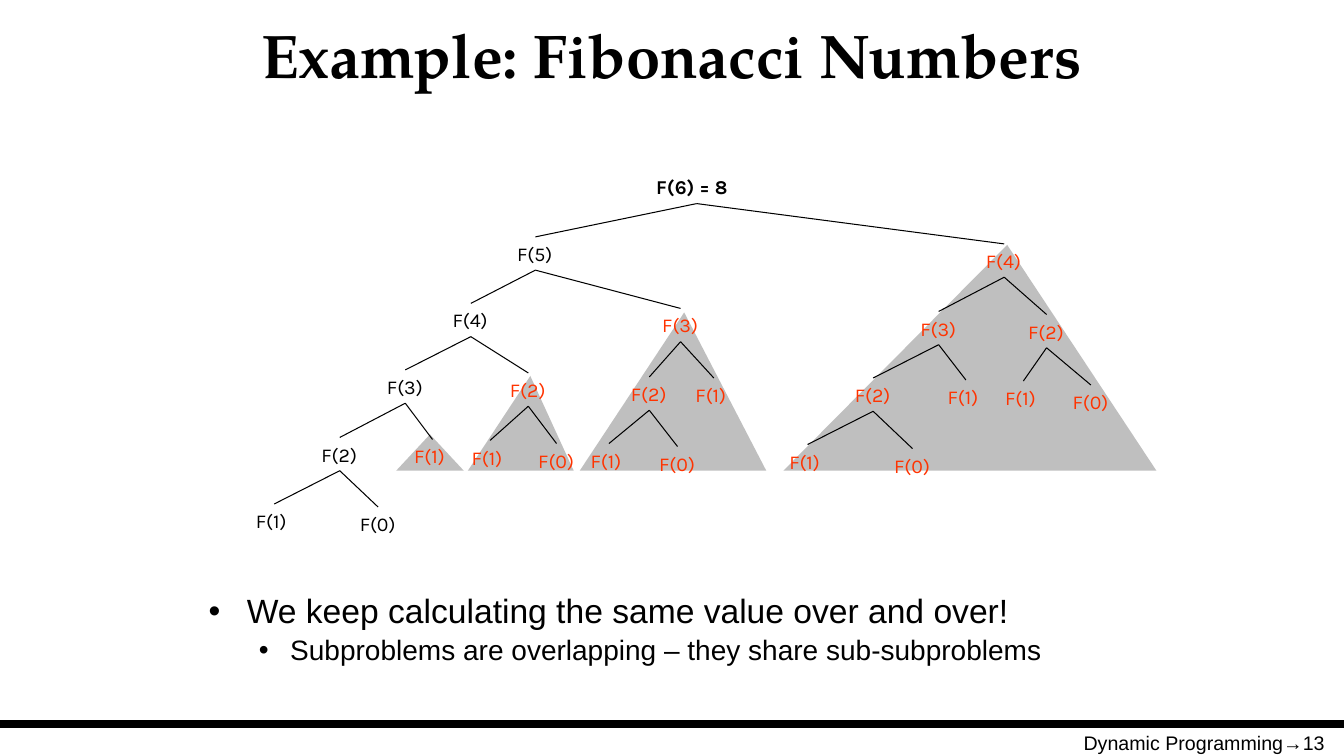
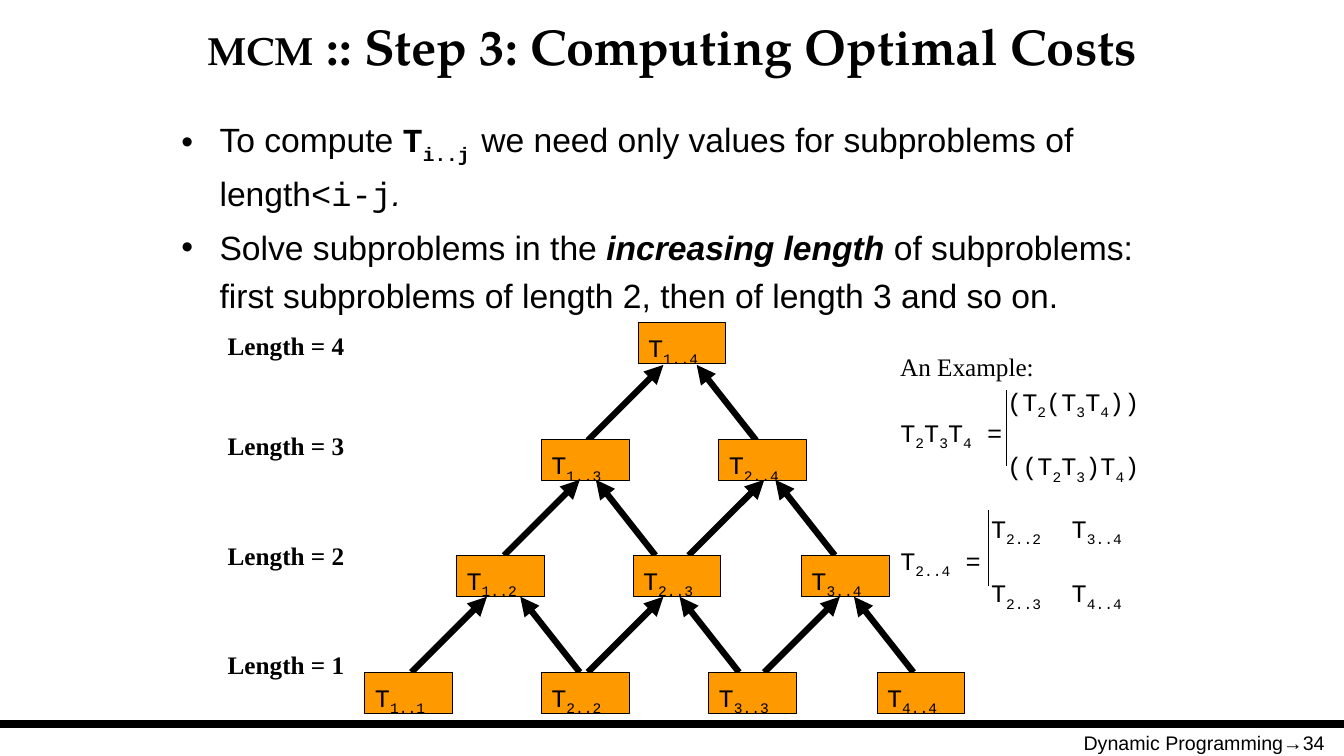
from lxml.etree import SubElement
from pptx import Presentation
from pptx.dml.color import RGBColor
from pptx.enum.shapes import MSO_CONNECTOR, MSO_SHAPE
from pptx.enum.text import MSO_ANCHOR, MSO_AUTO_SIZE, PP_ALIGN
from pptx.oxml.ns import qn
from pptx.util import Pt

PX = 9144  # EMU per px, 100 px to the inch
COLORS = {"ink": "000000", "paper": "FFFFFF", "repeat": "FF3300",
          "shade": "808080", "cell": "FF9900"}
TITLE_FONT, BODY_FONT, TREE_FONT = "TeX Gyre Pagella", "Arial", "Karla"
CODE_FONT, LABEL_FONT = "Courier New", "Times New Roman"
WIDTH, HEIGHT = 1333, 750
BAND_Y = 718

# Call tree: (n, centre x, top, children)
NODE_WIDTH, NODE_HEIGHT = 56, 33
FIRST_CALLS = (6, 691, 169, [
    (5, 531, 235, [
        (4, 467, 301, [
            (3, 402, 367, [
                (2, 337, 434, [(1, 272, 500, []), (0, 375, 503, [])]),
                (1, 429, 436, [])]),
            (2, 524, 370, [(1, 486, 437, []), (0, 552, 440, [])])]),
        (3, 675, 306, [
            (2, 644, 374, [(1, 604, 440, []), (0, 672, 443, [])]),
            (1, 708, 375, [])])]),
    (4, 996, 242, [
        (3, 931, 309, [
            (2, 866, 375, [(1, 801, 441, []), (0, 905, 445, [])]),
            (1, 958, 377, [])]),
        (2, 1038, 312, [(1, 1015, 378, []), (0, 1082, 382, [])])])])

# Shaded repeated calls: (left, top, width, apex position)
SHADE_BASE = 467
SHADES = [(777, 243, 370, 0.6), (575, 310, 185, 0.56),
          (464, 373, 105, 0.59), (393, 431, 67, 0.5)]

# Cost table: (length, label top, cell top, cell lefts)
CELL_ROWS = [(4, 323, 320, [633]), (3, 422, 436, [537, 713]),
             (2, 531, 551, [453, 628, 795]), (1, 639, 667, [362, 537, 703, 870])]
# Arrows: (start y, starts going right, starts going left)
ARROW_ROWS = [(437, [583], [750]), (551, [500, 683], [650, 828]),
              (667, [408, 583, 758], [575, 733, 906])]
ARROW_RISE, ARROW_RIGHT, ARROW_LEFT = 75, 75, -59

# Formulas: every second part between bars is a subscript
FORMULAS = [(999, 383, "(T|2|(T|3|T|4|))"), (893, 414, "T|2|T|3|T|4| ="),
            (999, 447, "((T|2|T|3|)T|4|)"),
            (983, 509, "T|2..2"), (1063, 509, "T|3..4"),
            (893, 541, "T|2..4| ="),
            (983, 573, "T|2..3"), (1063, 573, "T|4..4")]


def color(name):
    return RGBColor.from_string(COLORS[name])


def set_font(font, name=None, size=None, ink=None, bold=None, italic=None, sub=False):
    if name:
        font.name = name
    if size:
        font.size = Pt(size)
    if ink:
        font.color.rgb = color(ink)
    if bold is not None:
        font.bold = bold
    if italic is not None:
        font.italic = italic
    if sub:
        font._element.set("baseline", "-25000")


def fill_para(para, spans, name, size, ink="ink", bold=None):
    """Set the paragraph font, then add spans: (text, font changes)."""
    set_font(para.font, name, size, ink, bold)
    for text, changes in spans:
        span = para.add_run()
        span.text = text
        set_font(span.font, **changes)


def add_box(page, left, top, width, height, inset=True):
    box = page.shapes.add_textbox(left * PX, top * PX, width * PX, height * PX)
    frame = box.text_frame
    frame.word_wrap = True
    if not inset:
        frame.margin_left = frame.margin_right = 0
        frame.margin_top = frame.margin_bottom = 0
    return frame


def add_label(page, place, text, name, size, align=PP_ALIGN.LEFT, **style):
    frame = add_box(page, *place)
    para = frame.paragraphs[0]
    para.alignment = align
    fill_para(para, [(text, {})], name, size, **style)
    return frame


def formula_spans(formula):
    return [(text, {"sub": index % 2 == 1})
            for index, text in enumerate(formula.split("|"))]


def add_line(page, start, end, weight=0.75, arrow=False):
    ends = [value * PX for value in (*start, *end)]
    line = page.shapes.add_connector(MSO_CONNECTOR.STRAIGHT, *ends)
    line.line.color.rgb = color("ink")
    line.line.width = Pt(weight)
    if arrow:
        SubElement(line.line._get_or_add_ln(), qn("a:tailEnd"), type="triangle")
    SubElement(line._element.spPr, qn("a:effectLst"))


def add_shape(page, kind, left, top, width, height, fill):
    shape = page.shapes.add_shape(kind, left * PX, top * PX, width * PX, height * PX)
    shape.shadow.inherit = False
    shape.fill.solid()
    shape.fill.fore_color.rgb = color(fill)
    return shape


def add_page(deck, number, title_spans, title_size, title_height):
    """Blank page with the shared title, band and footer."""
    page = deck.slides.add_slide(deck.slide_layouts[6])
    page.background.fill.solid()
    page.background.fill.fore_color.rgb = color("paper")
    add_line(page, (0, BAND_Y), (WIDTH, BAND_Y), weight=6)
    add_label(page, (958, 720, 366, 30), f"Dynamic Programming→{number}",
              BODY_FONT, 14, PP_ALIGN.RIGHT)
    frame = add_box(page, 7, 7, 1319, title_height)
    frame.vertical_anchor = MSO_ANCHOR.MIDDLE
    para = frame.paragraphs[0]
    para.alignment = PP_ALIGN.CENTER
    fill_para(para, title_spans, TITLE_FONT, title_size, bold=True)
    return page


def add_bullets(page, place, items, spacing):
    """Items are (level, margin, hang, size, spans)."""
    frame = add_box(page, *place)
    for index, (level, margin, hang, size, spans) in enumerate(items):
        para = frame.add_paragraph() if index else frame.paragraphs[0]
        para.level = level
        para.line_spacing = spacing
        if index:
            para.space_before = Pt(size // 5)
        properties = para._p.get_or_add_pPr()
        properties.set("marL", str(margin * PX))
        properties.set("indent", str(-hang * PX))
        SubElement(properties, qn("a:buFont"), typeface=BODY_FONT)
        SubElement(properties, qn("a:buChar"), char="•")
        fill_para(para, spans, BODY_FONT, size)


def add_shade(page, left, top, width, apex):
    triangle = add_shape(page, MSO_SHAPE.ISOSCELES_TRIANGLE,
                         left, top, width, SHADE_BASE - top, "shade")
    triangle.adjustments[0] = apex
    triangle.line.fill.background()
    for value in triangle._element.spPr.iter(qn("a:srgbClr")):
        SubElement(value, qn("a:alpha"), val="50000")


def add_calls(page, call, seen, repeated=False):
    """Draw a call and its children; calls already seen turn red."""
    number, center, top, children = call
    repeated = repeated or number in seen
    if not repeated:
        seen.add(number)
    is_root = number == 6
    width = 101 if is_root else NODE_WIDTH
    frame = add_label(page, (center - width // 2, top, width, NODE_HEIGHT),
                      "F(6) = 8" if is_root else f"F({number})", TREE_FONT, 14,
                      ink="repeat" if repeated else "ink", bold=is_root)
    frame.word_wrap = False
    frame.auto_size = MSO_AUTO_SIZE.SHAPE_TO_FIT_TEXT
    for child in children:
        add_line(page, (center, top + NODE_HEIGHT), child[1:3])
        add_calls(page, child, seen, repeated)


def add_cell(page, left, top, indices):
    cell = add_shape(page, MSO_SHAPE.RECTANGLE, left, top, 87, 41, "cell")
    cell.line.color.rgb = color("ink")
    cell.line.width = Pt(0.75)
    frame = cell.text_frame
    frame.vertical_anchor = MSO_ANCHOR.TOP
    frame.margin_top, frame.margin_bottom = 10 * PX, 0
    para = frame.paragraphs[0]
    para.alignment = PP_ALIGN.LEFT
    fill_para(para, formula_spans(f"T|{indices}"), CODE_FONT, 18)


def build_fibonacci(deck):
    page = add_page(deck, 13, [("Example: Fibonacci Numbers", {})], 44, 92)
    for shade in SHADES:
        add_shade(page, *shade)
    add_calls(page, FIRST_CALLS, set())
    add_bullets(page, (197, 585, 963, 108), [
        (0, 38, 38, 24, [("We keep calculating the same value over and over!", {})]),
        (1, 81, 31, 20, [("Subproblems are overlapping – they share sub-subproblems", {})]),
    ], 0.9)


def build_costs(deck):
    page = add_page(deck, 34, [("MCM", {"size": 28}),
                               (" :: Step 3: Computing Optimal Costs", {})], 36, 77)
    add_bullets(page, (170, 104, 993, 215), [
        (0, 38, 38, 24, [
            ("To compute ", {}),
            ("T", {"name": CODE_FONT, "bold": True}),
            ("i..j ", {"name": CODE_FONT, "bold": True, "sub": True}),
            ("we need only values for subproblems of length", {}),
            ("<i-j", {"name": CODE_FONT}),
            (".", {"italic": True})]),
        (0, 38, 38, 24, [
            ("Solve subproblems in the ", {}),
            ("increasing length", {"bold": True, "italic": True}),
            (" of subproblems: first subproblems of length 2, "
             "then of length 3 and so on.", {})]),
    ], 1.2)

    # Arrows lie below the cells
    for y, rights, lefts in ARROW_ROWS:
        for starts, run in ((rights, ARROW_RIGHT), (lefts, ARROW_LEFT)):
            for x in starts:
                add_line(page, (x, y), (x + run, y - ARROW_RISE), 4.5, arrow=True)
    for length, label_top, cell_top, lefts in CELL_ROWS:
        add_label(page, (216, label_top, 158, 38), f"Length = {length}",
                  LABEL_FONT, 18, bold=True)
        for first, left in enumerate(lefts, start=1):
            add_cell(page, left, cell_top, f"{first}..{first + length - 1}")

    # Worked example with its two braces
    add_label(page, (883, 344, 200, 38), "An Example:", LABEL_FONT, 18)
    for left, top, formula in FORMULAS:
        frame = add_box(page, left, top, 160, 30, inset=False)
        fill_para(frame.paragraphs[0], formula_spans(formula), CODE_FONT, 18)
    for x, y in ((998, 387), (980, 506)):
        add_line(page, (x, y), (x, y + 75))


def main():
    deck = Presentation()
    deck.slide_width, deck.slide_height = WIDTH * PX, HEIGHT * PX
    build_fibonacci(deck)
    build_costs(deck)
    deck.save("out.pptx")


if __name__ == "__main__":
    main()
